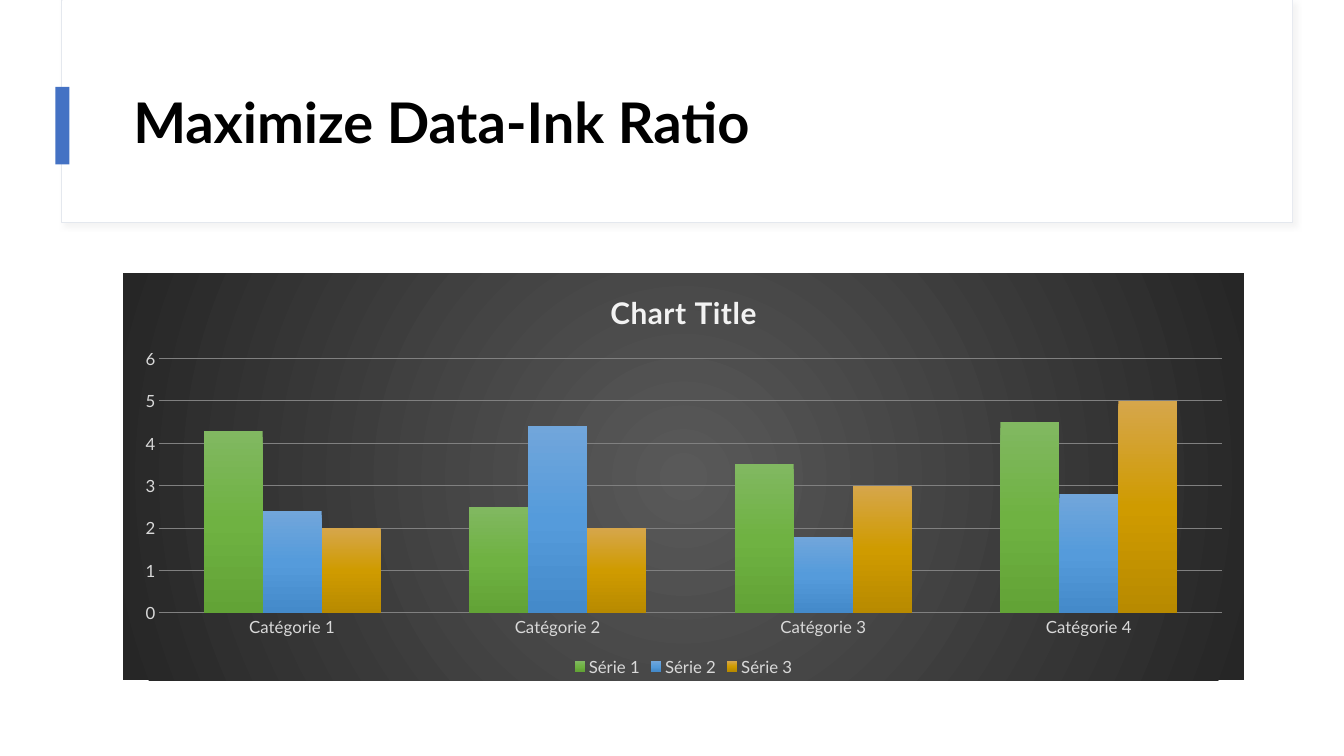
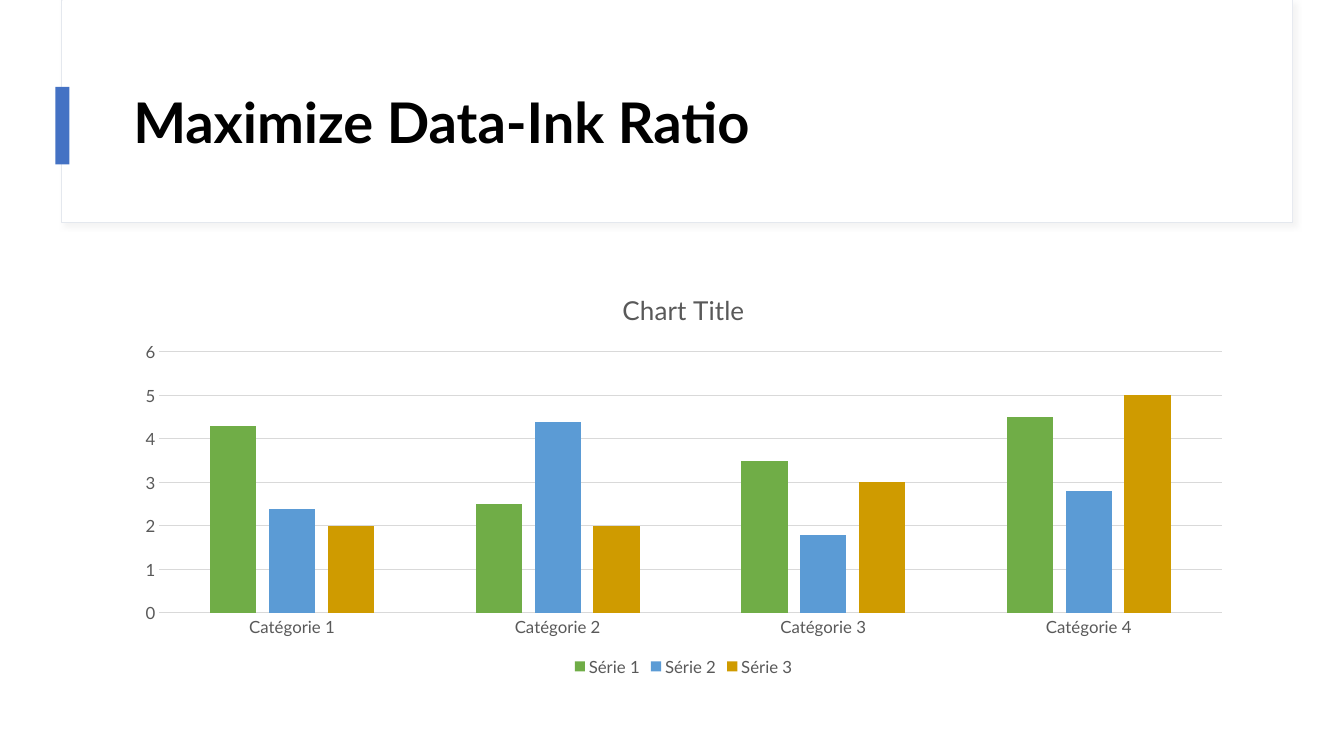
from pptx import Presentation
from pptx.chart.data import CategoryChartData as Data
from pptx.dml.color import RGBColor as Rgb
from pptx.enum.chart import XL_CHART_TYPE as Kind, XL_LEGEND_POSITION as Spot, XL_TICK_MARK as Tick
from pptx.enum.shapes import MSO_SHAPE as Form
from pptx.enum.text import MSO_ANCHOR as Anchor, MSO_AUTO_SIZE as Auto, PP_ALIGN as Align
from pptx.oxml import parse_xml
from pptx.oxml.ns import nsdecls
from pptx.util import Pt

WHITE = Rgb(0xFF, 0xFF, 0xFF)
BLACK = Rgb(0, 0, 0)
BLUE = Rgb(0x44, 0x72, 0xC4)
EDGE = Rgb(0xE4, 0xE8, 0xEE)
PALE = Rgb(0xF2, 0xF2, 0xF2)
LIGHT = Rgb(0xD9, 0xD9, 0xD9)
MID = Rgb(0x80, 0x80, 0x80)
GREY = Rgb(0x59, 0x59, 0x59)
DARK = Rgb(0x26, 0x26, 0x26)
GREEN = Rgb(0x70, 0xAD, 0x47)
SKY = Rgb(0x5B, 0x9B, 0xD5)
GOLD = Rgb(0xCF, 0x9B, 0x00)
LEAF = (Rgb(0x81, 0xB8, 0x61), Rgb(0x6F, 0xB2, 0x42), Rgb(0x62, 0xA3, 0x36))
SEA = (Rgb(0x71, 0xA6, 0xDB), Rgb(0x55, 0x9B, 0xDB), Rgb(0x44, 0x8A, 0xCA))
SAND = (Rgb(0xD6, 0xA6, 0x4B), GOLD, Rgb(0xB8, 0x8A, 0x00))

FACE = "Lato"
HEAD = (88, 43.2, 800.6, 92.9)
BODY = (88, 195.1, 800.6, 290.9)
BAND = (44.2, 0, 879, 159)
TITLE = "Maximize Data-Ink Ratio"
CATS = [f"Catégorie {n}" for n in range(1, 5)]
ROWS = {
    "Série 1": (4.3, 2.5, 3.5, 4.5),
    "Série 2": (2.4, 4.4, 1.8, 2.8),
    "Série 3": (2, 2, 3, 5),
}
HEAVY = {
    "bars": (LEAF, SEA, SAND), "plot": {"gap_width": 150, "overlap": 0},
    "text": LIGHT, "grid": MID, "base": None, "area": (GREY, DARK),
    "name": {"size": Pt(21.3), "bold": True}, "tint": PALE, "track": 50,
}
LEAN = {
    "bars": (GREEN, SKY, GOLD), "plot": {"gap_width": 219, "overlap": -27},
    "text": GREY, "grid": LIGHT, "base": LIGHT, "area": None,
    "name": {"size": Pt(18.6), "bold": False}, "tint": GREY, "track": 0,
}
ROUND = '<a:path path="circle"><a:fillToRect l="50000" t="50000" r="50000" b="50000"/></a:path>'
DOWN = '<a:lin ang="5400000" scaled="0"/>'


def put(obj, **vals):
    for key, val in vals.items():
        setattr(obj, key, val)


def ink(font, tint, **vals):
    put(font, name=FACE, **vals)
    font.color.rgb = tint


def fade(tints, way):
    step = 100000 // (len(tints) - 1)
    stops = "".join(f'<a:gs pos="{n * step}"><a:srgbClr val="{tint}"/></a:gs>'
                    for n, tint in enumerate(tints))
    return parse_xml(f'<a:gradFill {nsdecls("a")} rotWithShape="1">'
                     f'<a:gsLst>{stops}</a:gsLst>{way}</a:gradFill>')


def rule(line, tint):
    if tint is None:
        line.fill.background()
    else:
        line.color.rgb = tint
        line.width = Pt(0.75)


def block(shapes, box, fill, edge=None):
    rect = shapes.add_shape(Form.RECTANGLE, *map(Pt, box))
    rect.shadow.inherit = False
    rect.fill.solid()
    rect.fill.fore_color.rgb = fill
    rule(rect.line, edge)
    return rect


def cast(rect):
    glow = parse_xml(
        f'<a:outerShdw {nsdecls("a")} blurRad="{Pt(4)}" dist="{Pt(3)}" dir="2700000" '
        f'algn="tl" rotWithShape="0"><a:srgbClr val="{LIGHT}">'
        '<a:alpha val="30000"/></a:srgbClr></a:outerShdw>')
    rect._element.spPr.find("{*}effectLst").append(glow)


def band(slide, box):
    left, top, wide, high = box
    back = block(slide.shapes, box, WHITE, EDGE)
    cast(back)
    front = block(slide.shapes, (left + 0.4, top, wide - 0.6, high - 0.6), WHITE)
    mark = block(slide.shapes, (left - 4.6, top + 62, 10, 55.4), BLUE)
    tree = slide.slide_layout.shapes._spTree
    for num, part in enumerate((back, front, mark)):
        node = part._element
        node.nvSpPr.cNvPr.set("id", str(20 + num))
        tree.insert(2 + num, node)


def head(slide, box):
    left, top, wide, high = map(Pt, box)
    shape = slide.shapes.title
    put(shape, left=left, top=top, width=wide, height=high)
    frame = shape.text_frame
    put(frame, text=TITLE, vertical_anchor=Anchor.MIDDLE, word_wrap=True, auto_size=Auto.NONE)
    para = frame.paragraphs[0]
    put(para, alignment=Align.LEFT, line_spacing=0.9)
    ink(para.runs[0].font, BLACK, size=Pt(40), bold=True)


def area(chart, tints):
    node = parse_xml(f'<c:spPr {nsdecls("c", "a")}><a:ln><a:noFill/></a:ln></c:spPr>')
    fill = fade(tints, ROUND) if tints else parse_xml(f'<a:noFill {nsdecls("a")}/>')
    node.insert(0, fill)
    chart._chartSpace.chart.addnext(node)


def axes(chart, look):
    cat, val = chart.category_axis, chart.value_axis
    for axis, tint in ((cat, look["base"]), (val, None)):
        put(axis, major_tick_mark=Tick.NONE, minor_tick_mark=Tick.NONE)
        ink(axis.tick_labels.font, look["text"], size=Pt(12))
        rule(axis.format.line, tint)
    put(val, minimum_scale=0, maximum_scale=6, major_unit=1, has_major_gridlines=True)
    rule(val.major_gridlines.format.line, look["grid"])


def graph(slide, box, look):
    data = Data()
    data.categories = CATS
    for name, vals in ROWS.items():
        data.add_series(name, vals)
    chart = slide.shapes.add_chart(Kind.COLUMN_CLUSTERED, *map(Pt, box), data).chart
    ink(chart.font, BLACK, size=Pt(10))
    area(chart, look["area"])

    put(chart, has_title=True, has_legend=True)
    chart.chart_title.include_in_layout = False
    para = chart.chart_title.text_frame.paragraphs[0]
    run = para.add_run()
    run.text = "Chart Title"
    ink(run.font, look["tint"], **look["name"])
    run.font._element.set("spc", str(look["track"]))
    put(chart.legend, position=Spot.BOTTOM, include_in_layout=False)
    ink(chart.legend.font, look["text"], size=Pt(12))

    axes(chart, look)
    plot = chart.plots[0]
    put(plot, vary_by_categories=False, **look["plot"])
    for row, tint in zip(plot.series, look["bars"]):
        row.invert_if_negative = False
        if isinstance(tint, Rgb):
            row.format.fill.solid()
            row.format.fill.fore_color.rgb = tint
        else:
            row._element.get_or_add_spPr().insert(0, fade(tint, DOWN))


def main():
    deck = Presentation()
    put(deck, slide_width=Pt(960), slide_height=Pt(540))
    plan = deck.slide_layouts.get_by_name("Title Only")
    for num, look in enumerate((HEAVY, LEAN)):
        slide = deck.slides.add_slide(plan)
        if num == 0:
            band(slide, BAND)
        head(slide, HEAD)
        graph(slide, BODY, look)
    deck.save("out.pptx")


if __name__ == "__main__":
    main()
